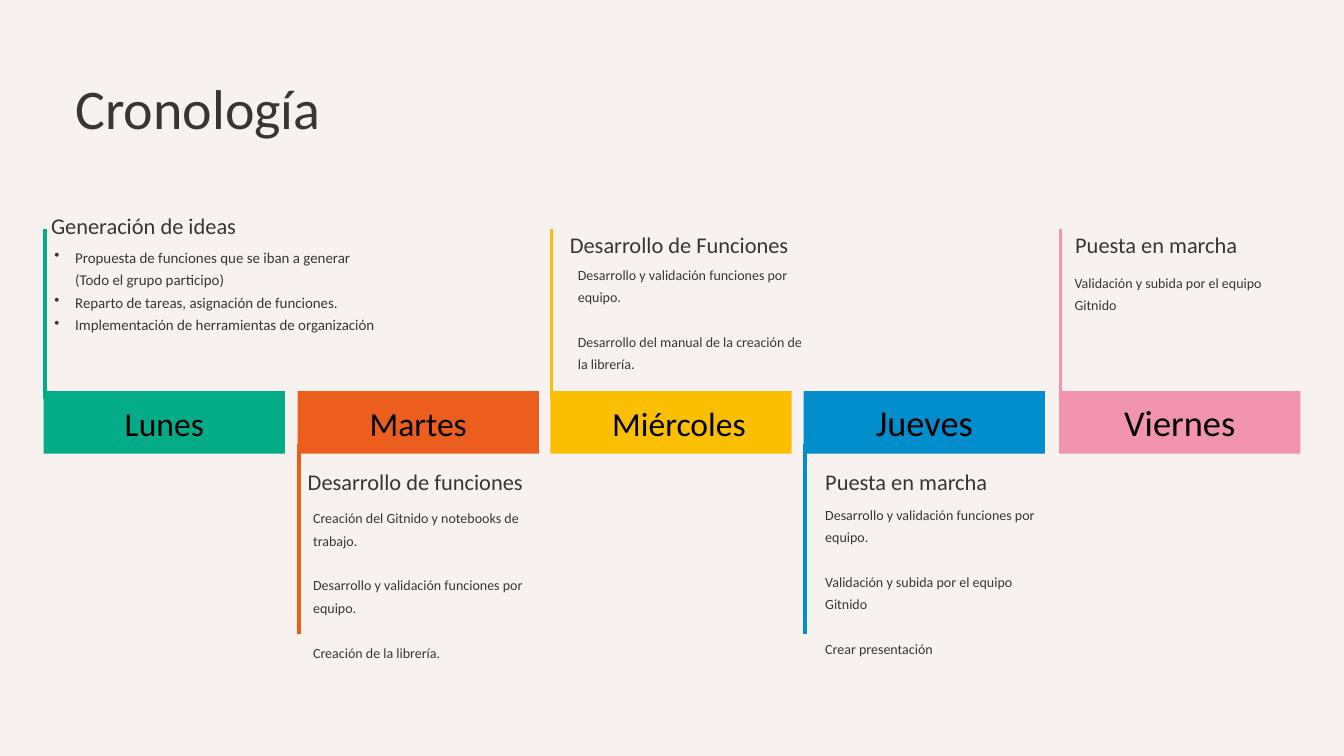
from dataclasses import dataclass

from lxml import etree
from pptx import Presentation, util as u
from pptx.dml.color import RGBColor
from pptx.enum import shapes, text
from pptx.oxml.ns import qn

COLORS = {
    "background": "F7F2EF", "ink": "383635", "label": "000000",
    "green": "03AB87", "orange": "EC5E1E", "yellow": "FBBF02",
    "blue": "028ECC", "pink": "F294AF",
}
FONT = "Calibri"
BAR_TOP, BAR_W, BAR_H = 5.82, 3.59, 0.93
STEM_ABOVE = (5.94, 3.41)
STEM_BELOW = (9.44, 6.6)


@dataclass
class Box:
    left: float
    top: float
    width: float
    height: float


@dataclass
class Style:
    size: float
    spacing: float
    color: str = "ink"
    centered: bool = False
    bullets: bool = False
    gap: float = 0


@dataclass
class Day:
    name: str
    color: str
    left: float
    above: bool
    heading: str
    heading_box: Box
    tasks: list[str]
    tasks_box: Box
    name_size: float = 36
    name_width: float = 2.01
    name_shift: float = 0
    bullets: bool = False


DAYS = [
    Day("Lunes", "green", 0.65, True,
        "Generación de ideas", Box(0.76, 3.12, 4.18, 0.42),
        ["Propuesta de funciones que se iban a generar (Todo el grupo participo)",
         "Reparto de tareas, asignación de funciones.",
         "Implementación de herramientas de organización"],
        Box(0.81, 3.63, 4.77, 1.65), bullets=True),
    Day("Martes", "orange", 4.43, False,
        "Desarrollo de funciones", Box(4.58, 6.94, 4.23, 0.42),
        ["Creación del Gitnido y notebooks de trabajo.",
         "Desarrollo y validación funciones por equipo.",
         "Creación de la librería."],
        Box(4.66, 7.5, 3.36, 2.31)),
    Day("Miércoles", "yellow", 8.19, True,
        "Desarrollo de Funciones", Box(8.48, 3.41, 6.72, 0.42),
        ["Desarrollo y validación funciones por equipo.",
         "Desarrollo del manual de la creación de la librería."],
        Box(8.6, 3.88, 3.36, 1.65), name_width=2.6, name_shift=0.12),
    Day("Jueves", "blue", 11.96, False,
        "Puesta en marcha", Box(12.28, 6.94, 3.15, 0.42),
        ["Desarrollo y validación funciones por equipo.",
         "Validación y subida por el equipo Gitnido",
         "Crear presentación"],
        Box(12.28, 7.45, 3.15, 2.31), name_size=39),
    Day("Viernes", "pink", 15.76, True,
        "Puesta en marcha", Box(16, 3.41, 3.36, 0.42),
        ["Validación y subida por el equipo Gitnido"],
        Box(15.99, 4, 3.15, 0.65), name_size=39),
]


def rgb(name: str) -> RGBColor:
    return RGBColor.from_string(COLORS[name])


def add_bullet(paragraph) -> None:
    properties = paragraph._p.get_or_add_pPr()
    properties.set("marL", str(u.Inches(0.31)))
    properties.set("indent", str(u.Inches(-0.31)))
    etree.SubElement(properties, qn("a:buChar")).set("char", "•")


def add_text(slide, box: Box, lines: list[str], style: Style) -> None:
    frame = slide.shapes.add_textbox(
        u.Inches(box.left), u.Inches(box.top),
        u.Inches(box.width), u.Inches(box.height)).text_frame
    frame.word_wrap = True
    frame.auto_size = text.MSO_AUTO_SIZE.SHAPE_TO_FIT_TEXT
    frame.margin_left = frame.margin_right = 0
    frame.margin_top = frame.margin_bottom = 0
    frame.text = "\n".join(lines)
    for index, paragraph in enumerate(frame.paragraphs):
        if style.bullets:
            add_bullet(paragraph)
        paragraph.line_spacing = u.Pt(style.spacing)
        if index and style.gap:
            paragraph.space_before = u.Pt(style.gap)
        if style.centered:
            paragraph.alignment = text.PP_ALIGN.CENTER
        for run in paragraph.runs:
            run.font.name = FONT
            run.font.size = u.Pt(style.size)
            run.font.color.rgb = rgb(style.color)


def add_bar(slide, day: Day) -> None:
    bar = slide.shapes.add_shape(
        shapes.MSO_SHAPE.RECTANGLE, u.Inches(day.left), u.Inches(BAR_TOP),
        u.Inches(BAR_W), u.Inches(BAR_H))
    bar.shadow.inherit = False
    bar.fill.solid()
    bar.fill.fore_color.rgb = rgb(day.color)
    bar.line.fill.background()
    name_left = day.left + (BAR_W - day.name_width) / 2 + day.name_shift
    add_text(slide, Box(name_left, 6, day.name_width, 0.6), [day.name],
             Style(day.name_size, 43, color="label", centered=True))


def add_stem(slide, day: Day) -> None:
    x = u.Inches(day.left + 0.02)
    start, end = STEM_ABOVE if day.above else STEM_BELOW
    stem = slide.shapes.add_connector(
        shapes.MSO_CONNECTOR.STRAIGHT, x, u.Inches(start), x, u.Inches(end))
    stem.line.color.rgb = rgb(day.color)
    stem.line.width = u.Pt(3.75)
    etree.SubElement(stem._element.spPr, qn("a:effectLst"))


def add_day(slide, day: Day) -> None:
    add_bar(slide, day)
    add_stem(slide, day)
    add_text(slide, day.heading_box, [day.heading], Style(24, 31))
    tasks_style = (Style(16, 24, bullets=True) if day.bullets
                   else Style(15, 24, gap=24))
    add_text(slide, day.tasks_box, day.tasks, tasks_style)


def main() -> None:
    deck = Presentation()
    deck.slide_width, deck.slide_height = u.Inches(20), u.Inches(11.25)
    slide = deck.slides.add_slide(deck.slide_layouts[6])
    slide.background.fill.solid()
    slide.background.fill.fore_color.rgb = rgb("background")

    # Title
    add_text(slide, Box(1.12, 1.21, 10.06, 0.9), ["Cronología"], Style(60, 64))

    # Week timeline
    for day in DAYS:
        add_day(slide, day)

    deck.save("out.pptx")


if __name__ == "__main__":
    main()
